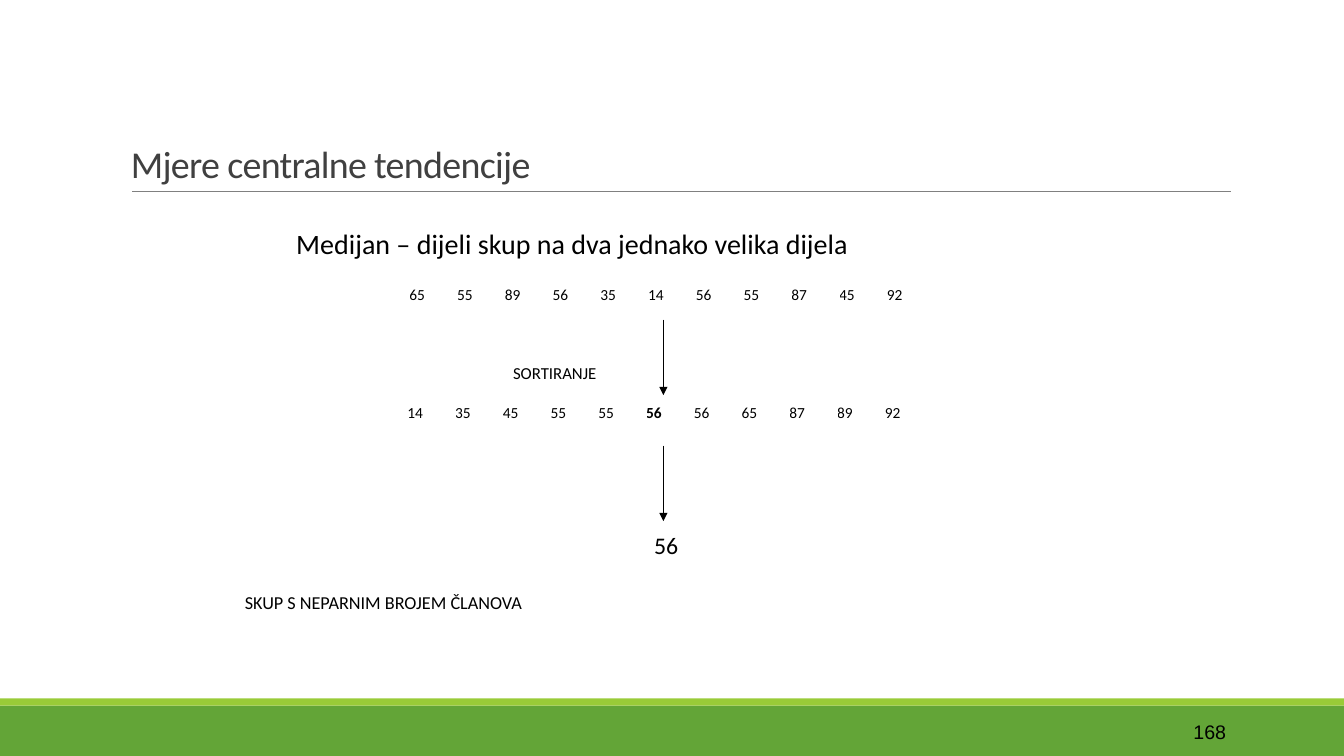
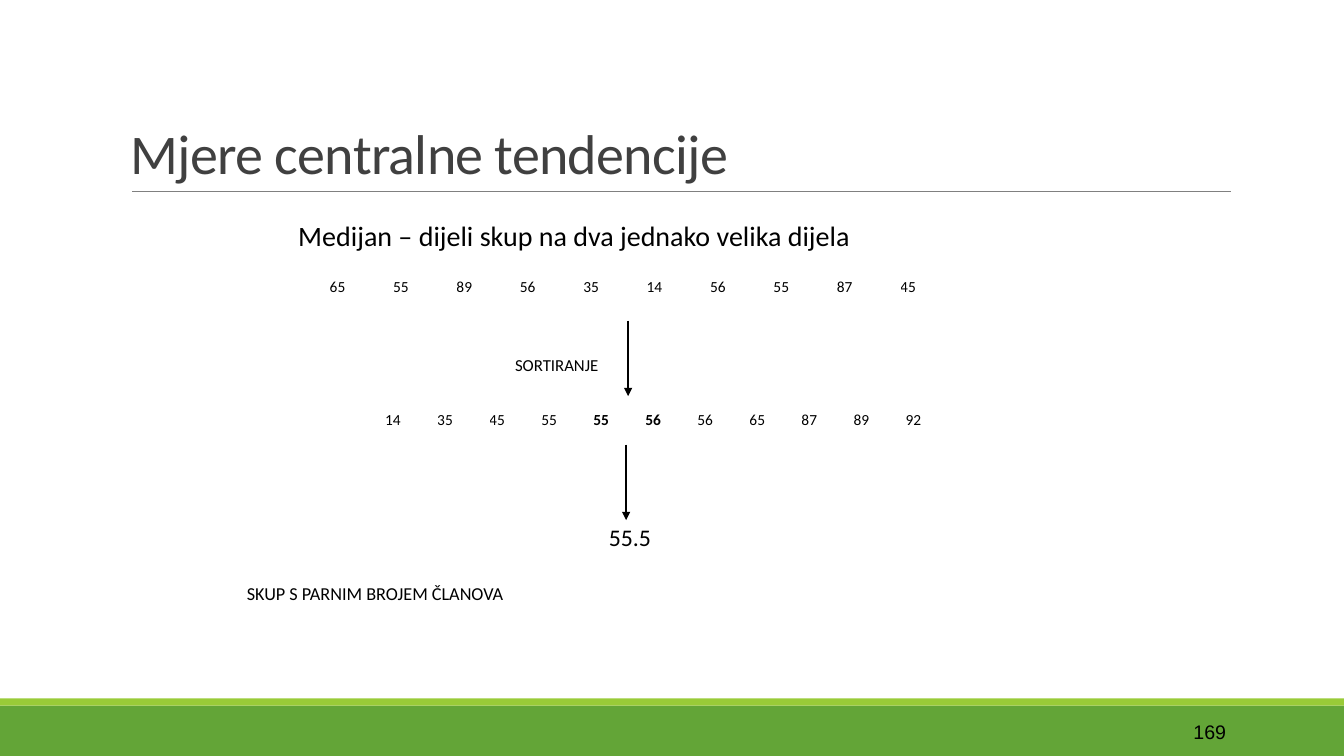
from lxml import etree
from pptx import Presentation
from pptx.dml.color import RGBColor
from pptx.enum import shapes, text
from pptx.oxml import ns
from pptx.util import Inches, Pt

BLACK, GREY, RULE = "000000", "404040", "808080"
BANDS = [(7, 0.5, "63A537"), (6.93, 0.07, "99CB38")]
MIDDLE = text.MSO_ANCHOR.MIDDLE

SLIDES = [
    {
        "title_size": 27.1, "number": "168", "shift": (0, 0),
        "answer": "56", "answer_left": 6.49,
        "note": "SKUP S NEPARNIM BROJEM ČLANOVA",
        "arrows": [(6.58, 3.17), (6.58, 4.42)],
        "rows": [
            (4.06, 2.83, 5.21, "65 55 89 56 35 14 56 55 87 45 92", ()),
            (4.04, 4, 5.21, "14 35 45 55 55 56 56 65 87 89 92", (5,)),
        ],
    },
    {
        "title_size": 40, "number": "169", "shift": (0.02, -0.08),
        "answer": "55.5", "answer_left": 6.04,
        "note": "SKUP S PARNIM BROJEM ČLANOVA",
        "arrows": [(6.23, 3.18), (6.21, 4.41)],
        "rows": [
            (3.27, 2.75, 6.29, "65 55 89 56 35 14 56 55 87 45", ()),
            (3.82, 4.07, 5.68, "14 35 45 55 55 56 56 65 87 89 92", (4, 5)),
        ],
    },
]


def rgb(value):
    return RGBColor.from_string(value)


def add_text(s, words, box, size, color=BLACK, font="Calibri", anchor=MIDDLE):
    """Add a one-paragraph text box and return its paragraph and run."""
    tf = s.shapes.add_textbox(*map(Inches, box)).text_frame
    tf.word_wrap = True
    tf.vertical_anchor = anchor
    p = tf.paragraphs[0]
    r = p.add_run()
    r.text = words
    for name, value in {"size": Pt(size), "name": font}.items():
        setattr(r.font, name, value)
    r.font.color.rgb = rgb(color)
    return p, r


prs = Presentation()
prs.slide_width, prs.slide_height = Inches(13.33), Inches(7.5)

for data in SLIDES:
    s = prs.slides.add_slide(prs.slide_layouts[6])

    for top, height, color in BANDS:
        band = s.shapes.add_shape(shapes.MSO_SHAPE.RECTANGLE, 0, Inches(top),
                                  prs.slide_width, Inches(height))
        band.shadow.inherit = False
        band.fill.solid()
        band.fill.fore_color.rgb = rgb(color)
        band.line.fill.background()

    p, r = add_text(s, "Mjere centralne tendencije", (1.2, 0.31, 11, 1.59),
                    data["title_size"], GREY, anchor=text.MSO_ANCHOR.BOTTOM)
    p.line_spacing = 0.9
    r.font._element.set("spc", "-50")
    p, r = add_text(s, data["number"], (10.83, 7.06, 1.43, 0.4), 14, font="Arial")
    p.alignment = text.PP_ALIGN.RIGHT

    # Text left edge and vertical centre, before the slide's shift
    dx, dy = data["shift"]
    for words, left, middle, size in [
        ("Medijan – dijeli skup na dva jednako velika dijela", 2.94, 2.41, 20),
        ("SORTIRANJE", 5.09, 3.7, 12),
        (data["answer"], data["answer_left"] - dx, 5.41, 17),
        (data["note"], 2.43, 5.97, 13),
    ]:
        width = 1.3 if size in (12, 17) else 6.5
        add_text(s, words, (left + dx - 0.1, middle + dy - 0.2, width, 0.4), size)

    for left, top, width, numbers, bold in data["rows"]:
        values = numbers.split()
        table = s.shapes.add_table(1, len(values), Inches(left), Inches(top),
                                   Inches(width), Inches(0.18)).table
        table.first_row = table.horz_banding = False
        for i, value in enumerate(values):
            cell = table.cell(0, i)
            cell.fill.background()
            cell.vertical_anchor = MIDDLE
            for side in ("left", "right", "top", "bottom"):
                setattr(cell, f"margin_{side}", 0)
            r = cell.text_frame.paragraphs[0].add_run()
            r.text = value
            for name, setting in {"size": Pt(11), "name": "Calibri", "bold": i in bold}.items():
                setattr(r.font, name, setting)
            r.font.color.rgb = rgb(BLACK)

    lines = [(1.31, 1.9, 12.21, 1.9, RULE, 0.5)]
    lines += [(x, y, x, y + 0.75, BLACK, 1) for x, y in data["arrows"]]
    for x1, y1, x2, y2, color, weight in lines:
        line = s.shapes.add_connector(shapes.MSO_CONNECTOR.STRAIGHT,
                                      *map(Inches, (x1, y1, x2, y2)))
        line.line.color.rgb = rgb(color)
        line.line.width = Pt(weight)
        if x1 == x2:
            etree.SubElement(line.line._get_or_add_ln(), ns.qn("a:tailEnd"), type="triangle")
        etree.SubElement(line._element.spPr, ns.qn("a:effectLst"))

prs.save("out.pptx")
